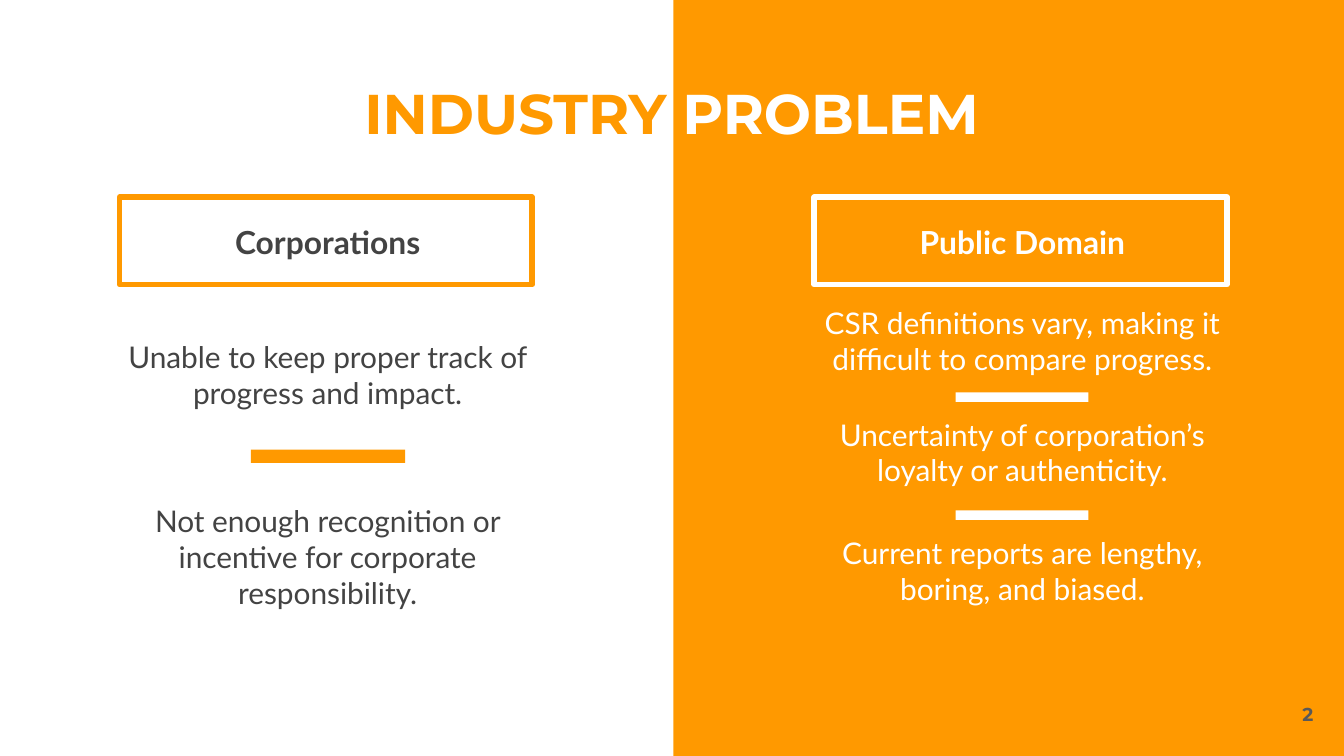
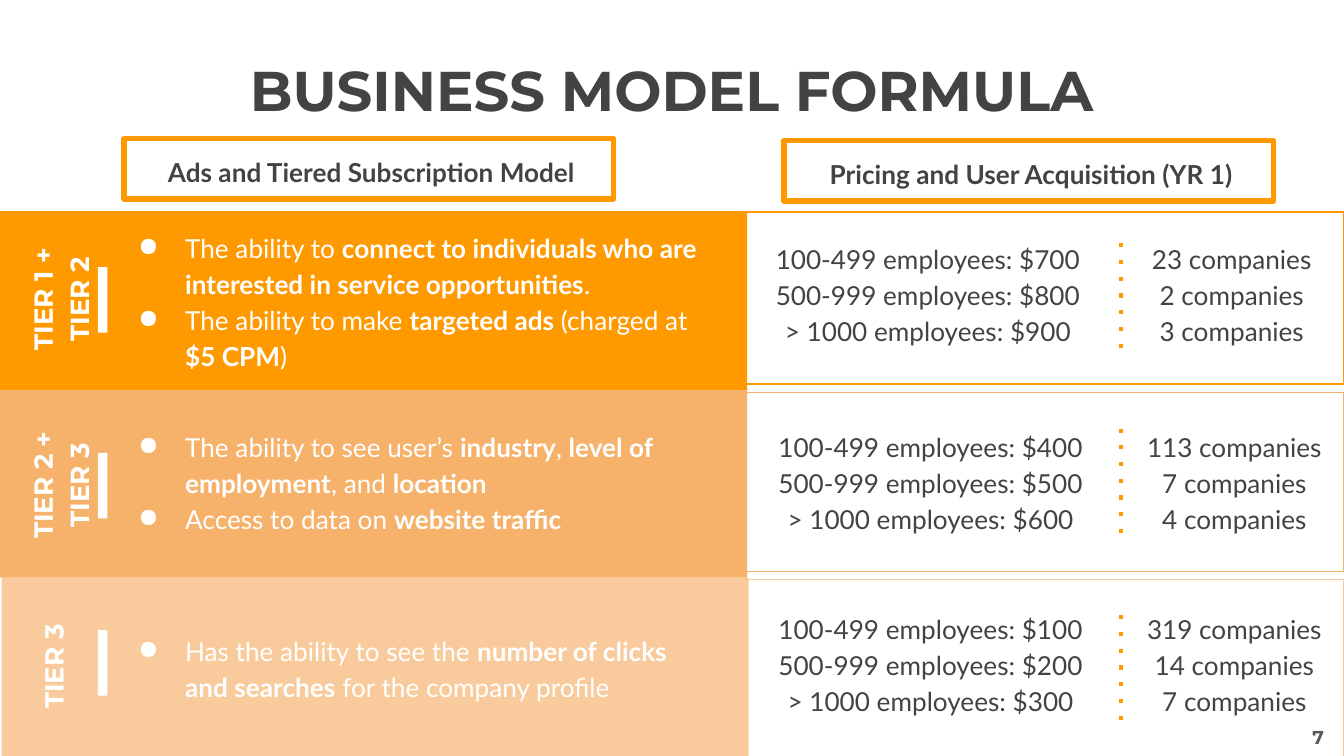
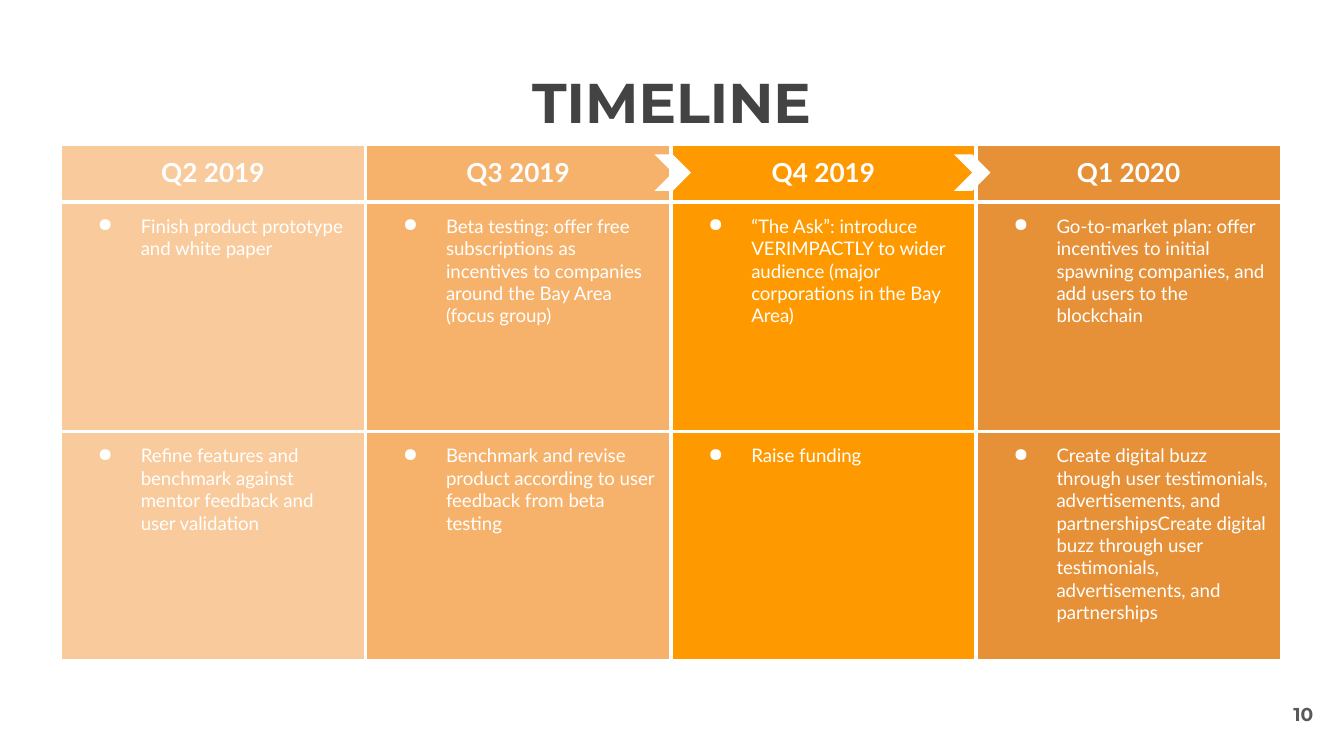
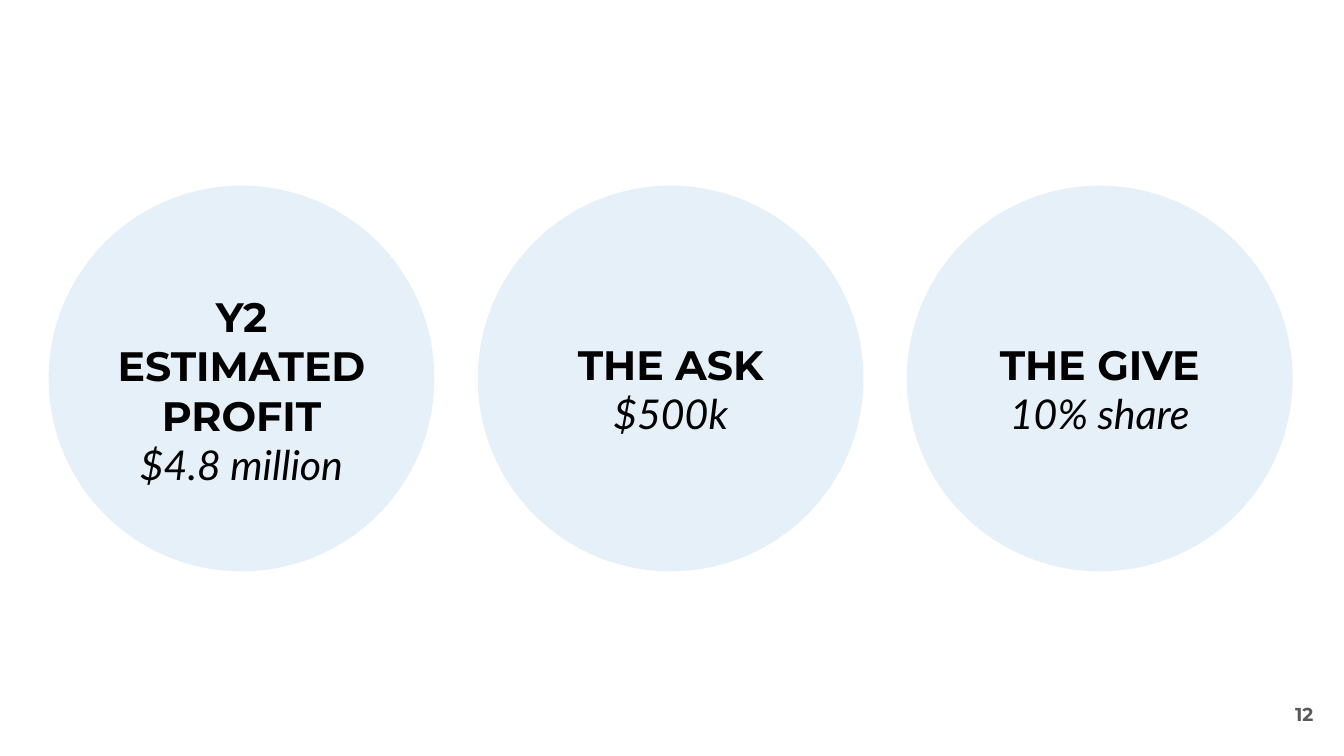
from dataclasses import dataclass, replace
from typing import NamedTuple

from lxml.etree import SubElement
from pptx import Presentation
from pptx.dml.color import RGBColor
from pptx.enum.shapes import MSO_CONNECTOR, MSO_SHAPE
from pptx.enum.text import MSO_ANCHOR, PP_ALIGN
from pptx.oxml.ns import qn
from pptx.util import Cm, Pt

RECTANGLE, OVAL, CHEVRON = MSO_SHAPE.RECTANGLE, MSO_SHAPE.OVAL, MSO_SHAPE.CHEVRON
STRAIGHT = MSO_CONNECTOR.STRAIGHT
LEFT, CENTER, RIGHT = PP_ALIGN.LEFT, PP_ALIGN.CENTER, PP_ALIGN.RIGHT
TOP, MIDDLE = MSO_ANCHOR.TOP, MSO_ANCHOR.MIDDLE

ORANGE, APRICOT, PEACH, AMBER = "FF9900", "F6B26B", "F9CB9C", "E69138"
WHITE, BLACK, DARK, GRAY, PALE_BLUE = "FFFFFF", "000000", "434343", "595959", "CFE2F3"
SLIDE_WIDTH, SLIDE_HEIGHT = 25.4, 14.29
MARGIN = 0.25


@dataclass(frozen=True)
class Style:
    """Look of a paragraph."""

    size: float
    font: str = "Lato"
    color: str = DARK
    bold: bool = False
    italic: bool = False
    align: PP_ALIGN = CENTER
    spacing: float = 1.0
    hanging: float = 0.0


class Frame(NamedTuple):
    """Position and size in centimetres."""

    left: float
    top: float
    width: float
    height: float


class Span(NamedTuple):
    """Run of text with its own weight or colour."""

    text: str
    bold: bool | None = None
    color: str | None = None


class Para(NamedTuple):
    """Paragraph made of spans."""

    spans: tuple[Span, ...]
    style: Style


class Column(NamedTuple):
    """Headed half of the problem slide."""

    heading: str
    left: float
    text_color: str
    accent: str
    notes: tuple[tuple[str, float], ...]
    bars: tuple[Frame, ...]


class Tier(NamedTuple):
    """Subscription tier with its prices and companies."""

    color: str
    panel: Frame
    band: Frame
    label: str
    label_left: float
    label_top: float
    bar_top: float
    points: tuple[str, ...]
    points_frame: Frame
    prices: tuple[int, ...]
    companies: tuple[int, ...]
    figures_left: float
    figures_top: float
    dots_top: float


class Quarter(NamedTuple):
    """Column of the timeline."""

    name: str
    color: str
    tasks: tuple[str, str]


class Offer(NamedTuple):
    """Circle with a heading and a figure."""

    heading: str
    figure: str
    text_top: float
    text_width: float
    text_height: float


TITLE = Style(30, "Montserrat", bold=True)
PAGE_NUMBER = Style(10, "Montserrat", GRAY, bold=True, align=RIGHT)
NOTE = Style(16)
COLUMN_HEADING = Style(17, bold=True)
MODEL_HEADING = Style(14, bold=True, spacing=1.15)
TIER_LABEL = Style(14, "Montserrat", WHITE, bold=True, spacing=1.15)
TIER_POINT = Style(14, color=WHITE, align=LEFT, spacing=1.15, hanging=0.89)
FIGURES = Style(14, spacing=1.15)
QUARTER_NAME = Style(14, color=WHITE, bold=True)
TASK = Style(10, color=WHITE, align=LEFT, hanging=0.81)
OFFER_HEADING = Style(22, "Montserrat", BLACK, bold=True)
OFFER_FIGURE = Style(22, color=BLACK, italic=True)

COLUMNS = (
    Column("Corporations", 2.03, DARK, ORANGE,
           (("Unable to keep proper track of progress and impact.", 6.15),
            ("Not enough recognition or incentive for corporate responsibility.", 9.25)),
           (Frame(4.74, 8.5, 2.92, 0.25),)),
    Column("Public Domain", 15.16, WHITE, WHITE,
           (("CSR definitions vary, making it difficult to compare progress.", 5.51),
            ("Uncertainty of corporation’s loyalty or authenticity.", 7.62),
            ("Current reports are lengthy, boring, and biased.", 9.86)),
           (Frame(18.06, 7.42, 2.51, 0.18), Frame(18.06, 9.65, 2.51, 0.18))),
)

TIERS = (
    Tier(ORANGE, Frame(12.45, 4.01, 12.95, 3.25), Frame(0, 3.99, 14.12, 3.38),
         "TIER 1 + TIER 2", -0.86, 5.0, 5.05,
         ("The ability to **connect to individuals who are interested in service opportunities**.",
          "The ability to make **targeted ads** (charged at **$5 CPM**)"),
         Frame(1.98, 4.06, 11.76, 3.38),
         (700, 800, 900), (23, 2, 3), 13.26, 4.27, 4.6),
    Tier(APRICOT, Frame(12.45, 7.42, 12.95, 3.38), Frame(0, 7.34, 14.12, 3.58),
         "TIER 2 + TIER 3", -0.86, 8.51, 8.56,
         ("The ability to see user’s **industry**, **level of employment**, and **location**",
          "Access to data on **website traffic**"),
         Frame(1.98, 7.82, 11.35, 2.72),
         (400, 500, 600), (113, 7, 4), 13.31, 7.82, 8.1),
    Tier(PEACH, Frame(12.45, 10.95, 12.95, 3.38), Frame(0.03, 10.92, 14.12, 3.38),
         "TIER 3", -0.66, 11.94, 11.91,
         ("Has the ability to see the **number of clicks and searches** for the company profile",),
         Frame(1.98, 11.68, 11.15, 1.6),
         (100, 200, 300), (319, 14, 7), 13.31, 11.25, 11.63),
)
STAFF_SIZES = ("100-499", "500-999", "> 1000")

BUZZ = "Create digital buzz through user testimonials, advertisements, and partnerships"
QUARTERS = (
    Quarter("Q2 2019", PEACH,
            ("Finish product prototype and white paper",
             "Refine features and benchmark against mentor feedback and user validation")),
    Quarter("Q3 2019", APRICOT,
            ("Beta testing: offer free subscriptions as incentives to companies "
             "around the Bay Area (focus group)",
             "Benchmark and revise product according to user feedback from beta testing")),
    Quarter("Q4 2019", ORANGE,
            ("“The Ask”: introduce VERIMPACTLY to wider audience "
             "(major corporations in the Bay Area)",
             "Raise funding")),
    Quarter("Q1 2020", AMBER,
            ("Go-to-market plan: offer incentives to initial spawning companies, "
             "and add users to the blockchain",
             BUZZ * 2)),
)

OFFERS = (
    Offer("Y2 ESTIMATED PROFIT", "$4.8 million", 5.26, 6.1, 4.62),
    Offer("THE ASK", "$500k", 6.17, 4.93, 1.78),
    Offer("THE GIVE", "10% share", 6.17, 4.93, 1.78),
)


def rgb(value: str) -> RGBColor:
    """Turn a hex string into a colour."""
    return RGBColor.from_string(value)


def place(frame: Frame) -> tuple[Cm, ...]:
    """Turn a frame into lengths."""
    return tuple(Cm(length) for length in frame)


def plain(text: str, style: Style) -> Para:
    """Make a paragraph of one span."""
    return Para((Span(text),), style)


def marked(text: str, style: Style) -> Para:
    """Make a paragraph whose parts between double asterisks are bold."""
    parts = enumerate(text.split("**"))
    return Para(tuple(Span(part, index % 2 == 1) for index, part in parts if part), style)


def add_bullet(paragraph, style: Style) -> None:
    """Give a paragraph a round bullet with a hanging indent."""
    properties = paragraph._p.get_or_add_pPr()
    properties.set("marL", str(Cm(1.27)))
    properties.set("indent", str(Cm(-style.hanging)))
    color = SubElement(properties, qn("a:buClr"))
    SubElement(color, qn("a:srgbClr"), val=style.color)
    SubElement(properties, qn("a:buChar"), char="●")


def write(text_frame, paras: list[Para]) -> None:
    """Fill a text frame with paragraphs."""
    for index, para in enumerate(paras):
        paragraph = text_frame.add_paragraph() if index else text_frame.paragraphs[0]
        style = para.style
        paragraph.alignment = style.align
        paragraph.line_spacing = style.spacing
        if style.hanging:
            add_bullet(paragraph, style)
        font = paragraph.font
        font.size, font.name = Pt(style.size), style.font
        font.bold, font.italic = style.bold, style.italic
        font.color.rgb = rgb(style.color)
        for span in para.spans:
            run = paragraph.add_run()
            run.text = span.text
            if span.bold is not None:
                run.font.bold = span.bold
            if span.color:
                run.font.color.rgb = rgb(span.color)


def set_margins(target) -> None:
    """Set equal inner margins on a text frame or cell."""
    target.margin_left = target.margin_right = Cm(MARGIN)
    target.margin_top = target.margin_bottom = Cm(MARGIN)


def add_text(slide, frame: Frame, paras: list[Para],
             anchor: MSO_ANCHOR = TOP, rotation: float = 0) -> None:
    """Add a wrapping text box."""
    box = slide.shapes.add_textbox(*place(frame))
    box.rotation = rotation
    text_frame = box.text_frame
    text_frame.word_wrap = True
    text_frame.vertical_anchor = anchor
    set_margins(text_frame)
    write(text_frame, paras)


def add_solid(slide, kind: MSO_SHAPE, frame: Frame, color: str):
    """Add a filled shape without an outline."""
    shape = slide.shapes.add_shape(kind, *place(frame))
    shape.shadow.inherit = False
    shape.fill.solid()
    shape.fill.fore_color.rgb = rgb(color)
    shape.line.fill.background()
    return shape


def add_outline(slide, frame: Frame, color: str, width: float) -> None:
    """Add an unfilled rectangle."""
    shape = slide.shapes.add_shape(RECTANGLE, *place(frame))
    shape.shadow.inherit = False
    shape.fill.background()
    shape.line.color.rgb = rgb(color)
    shape.line.width = Pt(width)


def add_dotted_line(slide, left: float, top: float, length: float) -> None:
    """Add a vertical dotted line."""
    line = slide.shapes.add_connector(
        STRAIGHT, Cm(left), Cm(top), Cm(left), Cm(top + length))
    line.line.color.rgb = rgb(ORANGE)
    line.line.width = Pt(2.25)
    properties = line._element.spPr
    SubElement(properties.find(qn("a:ln")), qn("a:prstDash"), val="dot")
    SubElement(properties, qn("a:effectLst"))


def add_borders(cell, color: str, width: float) -> None:
    """Draw all four borders of a cell."""
    properties = cell._tc.get_or_add_tcPr()
    for index, side in enumerate(("lnL", "lnR", "lnT", "lnB")):
        border = SubElement(properties, qn(f"a:{side}"), w=str(Pt(width)))
        fill = SubElement(border, qn("a:solidFill"))
        SubElement(fill, qn("a:srgbClr"), val=color)
        properties.insert(index, border)


def add_page(deck, number: int, background: str = WHITE,
             number_left: float = 23.55, number_top: float = 12.95):
    """Add a blank slide with its background and number."""
    slide = deck.slides.add_slide(deck.slide_layouts[6])
    slide.background.fill.solid()
    slide.background.fill.fore_color.rgb = rgb(background)
    add_text(slide, Frame(number_left, number_top, 1.52, 1.09),
             [plain(str(number), PAGE_NUMBER)], MIDDLE)
    return slide


def add_title(slide, top: float, *spans: Span) -> None:
    """Add the slide title."""
    add_text(slide, Frame(0.86, top, 23.67, 1.6), [Para(spans, TITLE)])


def build_problem(deck) -> None:
    """Build the split slide on the industry problem."""
    slide = add_page(deck, 2, ORANGE)
    add_solid(slide, RECTANGLE, Frame(0, 0, 12.73, SLIDE_HEIGHT), WHITE)
    add_title(slide, 1.24, Span("INDUSTRY ", color=ORANGE), Span("PROBLEM", color=WHITE))
    for column in COLUMNS:
        add_outline(slide, Frame(column.left + 0.23, 3.73, 7.8, 1.65), column.accent, 3)
        add_text(slide, Frame(column.left + 1.5, 3.96, 5.33, 1.12),
                 [plain(column.heading, replace(COLUMN_HEADING, color=column.text_color))])
        for text, top in column.notes:
            add_text(slide, Frame(column.left, top, 8.33, 2),
                     [plain(text, replace(NOTE, color=column.text_color))])
        for bar in column.bars:
            add_solid(slide, RECTANGLE, bar, column.accent)


def build_tier(slide, tier: Tier) -> None:
    """Write one tier over its band and panel."""
    add_text(slide, tier.points_frame, [marked(point, TIER_POINT) for point in tier.points])
    add_text(slide, Frame(tier.label_left, tier.label_top, 3.38, 1.32),
             [plain(tier.label, TIER_LABEL)], rotation=270)
    add_solid(slide, RECTANGLE, Frame(1.85, tier.bar_top, 0.18, 1.24), WHITE)
    prices = [plain(f"{size} employees: ${price}", FIGURES)
              for size, price in zip(STAFF_SIZES, tier.prices)]
    companies = [plain(f"{count} companies", FIGURES) for count in tier.companies]
    for offset, paras in ((0, prices), (5.74, companies)):
        add_text(slide, Frame(tier.figures_left + offset, tier.figures_top, 8.56, 2.54), paras)
    add_dotted_line(slide, 21.18, tier.dots_top, 2.01)


def build_model(deck) -> None:
    """Build the slide on tiers and prices."""
    slide = add_page(deck, 7, number_left=23.75, number_top=13.39)
    for tier in reversed(TIERS):
        add_outline(slide, tier.panel, tier.color, 0.75)
    for tier in reversed(TIERS):
        add_solid(slide, RECTANGLE, tier.band, tier.color)
    add_title(slide, 0.81, Span("BUSINESS MODEL FORMULA"))
    for heading, left, top in (("Ads and Tiered Subscription Model", 2.35, 2.62),
                               ("Pricing and User Acquisition (YR 1)", 14.82, 2.66)):
        add_outline(slide, Frame(left, top, 9.25, 1.14), ORANGE, 3)
        add_text(slide, Frame(left + 0.39, top, 8.56, 1.09), [plain(heading, MODEL_HEADING)])
    for tier in TIERS:
        build_tier(slide, tier)


def build_timeline(deck) -> None:
    """Build the slide with the quarterly table."""
    slide = add_page(deck, 10)
    add_title(slide, 1.02, Span("TIMELINE"))
    row_heights, column_width = (1.04, 4.34, 4.34), 5.77
    frame = Frame(1.14, 2.72, column_width * len(QUARTERS), sum(row_heights))
    table = slide.shapes.add_table(len(row_heights), len(QUARTERS), *place(frame)).table
    table.first_row = table.horz_banding = False
    for row, height in zip(table.rows, row_heights):
        row.height = Cm(height)
    for column, quarter in enumerate(QUARTERS):
        table.columns[column].width = Cm(column_width)
        paras = [plain(quarter.name, QUARTER_NAME)]
        paras += [plain(task, TASK) for task in quarter.tasks]
        for row, para in enumerate(paras):
            cell = table.cell(row, column)
            set_margins(cell)
            cell.fill.solid()
            cell.fill.fore_color.rgb = rgb(quarter.color)
            add_borders(cell, WHITE, 2.25)
            write(cell.text_frame, [para])
    for left in (12.37, 18.03):
        add_solid(slide, CHEVRON, Frame(left, 2.92, 0.69, 0.69), WHITE)


def build_offers(deck) -> None:
    """Build the slide with three circles."""
    slide = add_page(deck, 12)
    diameter, step = 7.29, 8.11
    for index, offer in enumerate(OFFERS):
        left = 0.92 + index * step
        circle = add_solid(slide, OVAL, Frame(left, 3.51, diameter, diameter), PALE_BLUE)
        color = circle._element.spPr.find(f"{qn('a:solidFill')}/{qn('a:srgbClr')}")
        SubElement(color, qn("a:alpha"), val="50000")
        text_left = left + (diameter - offer.text_width) / 2
        add_text(slide, Frame(text_left, offer.text_top, offer.text_width, offer.text_height),
                 [plain(offer.heading, OFFER_HEADING), plain(offer.figure, OFFER_FIGURE)])


def main() -> None:
    """Build and save the deck."""
    deck = Presentation()
    deck.slide_width, deck.slide_height = Cm(SLIDE_WIDTH), Cm(SLIDE_HEIGHT)
    for build in (build_problem, build_model, build_timeline, build_offers):
        build(deck)
    deck.save("out.pptx")


if __name__ == "__main__":
    main()
